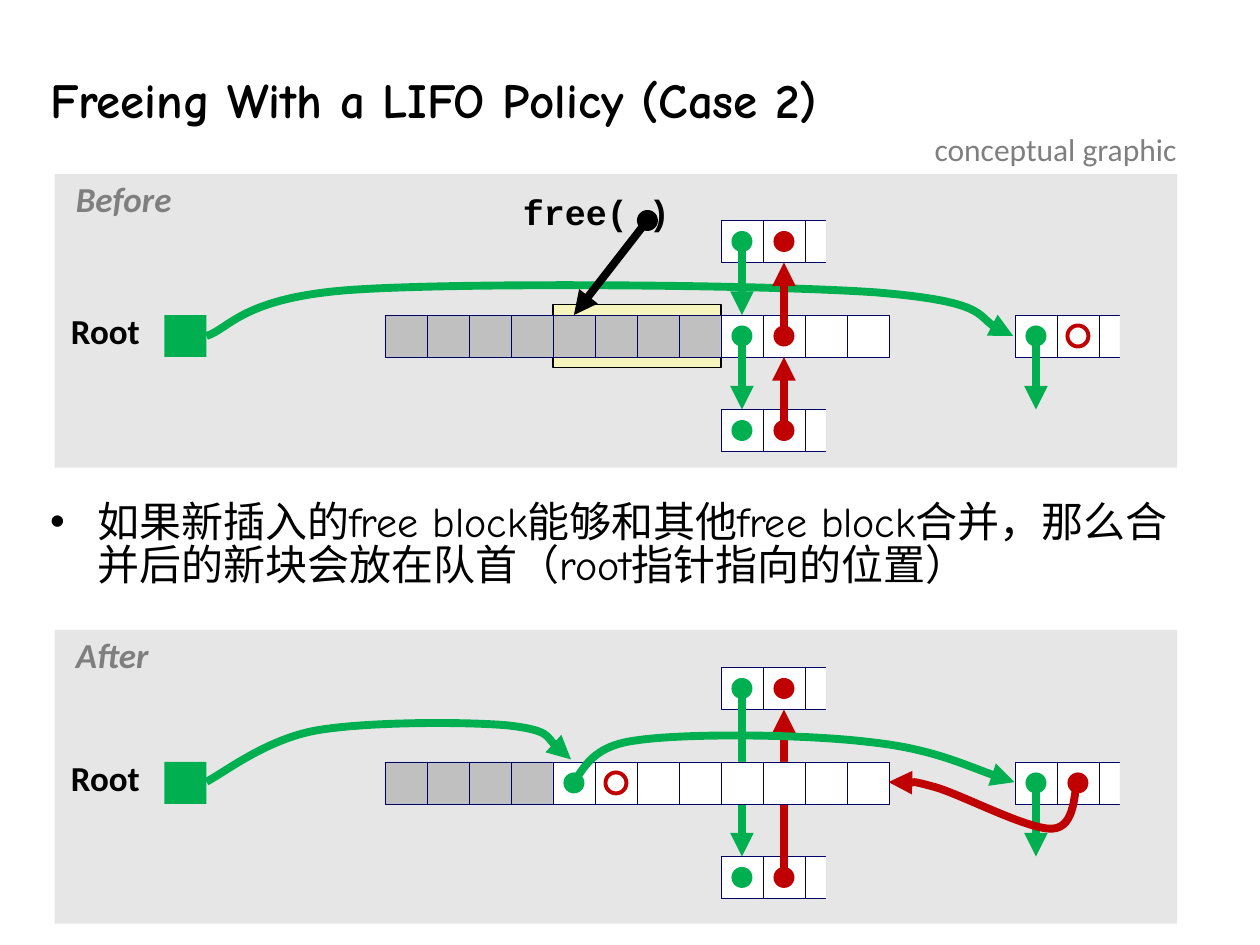
from lxml import etree
from pptx import Presentation
from pptx.dml.color import RGBColor
from pptx.enum.shapes import MSO_CONNECTOR, MSO_SHAPE
from pptx.enum.text import MSO_ANCHOR, MSO_AUTO_SIZE, PP_ALIGN
from pptx.oxml.ns import qn
from pptx.util import Cm, Pt

COLORS = {"panel": "E6E6E6", "used": "C0C0C0", "free": "FFFFFF", "freed": "F6F5BD",
          "border": "000066", "next": "00B050", "prev": "C00000", "ink": "000000",
          "muted": "7F7F7F"}
TITLE = "Freeing With a LIFO Policy (Case 2)"
NOTE = "conceptual graphic"
POINT = "如果新插入的free block能够和其他free block合并，那么合并后的新块会放在队首（root指针指向的位置）"

# Diagram places are (column, row) in cells, counted from the first cell of the heap row.
CELL = 2.54 / 3
HEAP_LEFT = 7.76
PANEL_LEFT, PANEL_WIDTH, PANEL_HEIGHT = 1.1, 22.63, 5.92
ROOT_COLUMN = -5.25
UPPER, LOWER = -2.25, 2.25
FRAGMENTS = [(8, UPPER), (8, LOWER), (15, 0)]
LIST_DOTS = [("next", 8, UPPER), ("prev", 9, UPPER), ("next", 8, LOWER),
             ("prev", 9, LOWER), ("next", 15, 0)]
ONWARD_LINK = ("next", (15, 0), (15, LOWER))

SCENES = [
    {"label": "Before", "label_width": 2.35, "panel_top": 3.51, "heap_top": 6.35,
     "heap": ["used"] * 8 + ["free"] * 4,
     "freed": (4, -0.25, 4, 1.5),
     "curves_behind": [("next", [
         (-4.25, 0.5), (-3.7, 0.33), (-3.4, -0.42), (-0.76, -0.6), (1.91, -0.78),
         (9.02, -0.72), (11.66, -0.54), (14.27, -0.33), (14.27, 0.3), (14.96, 0.5)])],
     "links_behind": [],
     "links": [("next", (8, 0), (8, LOWER)), ("next", (8, UPPER), (8, 0)),
               ("prev", (9, LOWER), (9, 0)), ("prev", (9, 0), (9, UPPER)), ONWARD_LINK],
     "dots": LIST_DOTS + [("next", 8, 0), ("prev", 9, 0)],
     "ring": (16, 0),
     "curves": []},
    {"label": "After", "label_width": 1.73, "panel_top": 12.7, "heap_top": 15.36,
     "heap": ["used"] * 4 + ["free"] * 8,
     "freed": None,
     "curves_behind": [],
     "links_behind": [("next", (8, UPPER), (8, LOWER)), ("prev", (9, LOWER), (9, UPPER))],
     "links": [ONWARD_LINK],
     "dots": LIST_DOTS + [("next", 4, 0), ("prev", 16, 0)],
     "ring": (5, 0),
     "curves": [
         ("next", [(4.46, 0.48), (4.7, 0.33), (4.79, -0.36), (5.96, -0.51), (7.13, -0.69),
                   (9.98, -0.66), (11.48, -0.48), (12.98, -0.33), (14.27, 0.27), (14.99, 0.48)]),
         ("prev", [(16.49, 0.48), (16.4, 0.66), (16.46, 1.56), (15.89, 1.59), (15.32, 1.62),
                   (13.73, 0.78), (13.1, 0.6), (12.44, 0.42), (12.23, 0.51), (11.99, 0.48)]),
         ("next", [(-4.25, 0.47), (-3.85, 0.27), (-2.83, -0.54), (-1.63, -0.75), (-0.43, -0.96),
                   (1.91, -0.96), (2.93, -0.87), (3.95, -0.75), (4.13, -0.24), (4.43, -0.06)])]},
]

prs = Presentation()
prs.slide_width, prs.slide_height = Cm(25.4), Cm(19.05)
slide = prs.slides.add_slide(prs.slide_layouts[6])
shapes = slide.shapes


def rgb(name):
    return RGBColor.from_string(COLORS[name])


def add_preset(kind, left, top, width, height, fill=None, border=None, weight=0.25):
    shape = shapes.add_shape(kind, Cm(left), Cm(top), Cm(width), Cm(height))
    shape.shadow.inherit = False
    if fill:
        shape.fill.solid()
        shape.fill.fore_color.rgb = rgb(fill)
    else:
        shape.fill.background()
    if border:
        shape.line.color.rgb = rgb(border)
        shape.line.width = Pt(weight)
    else:
        shape.line.fill.background()
    return shape


def add_text(text, left, top, width, height, size, font="Calibri", color="ink", bold=False,
             italic=False, inset=0.13, wrap=False, align=PP_ALIGN.CENTER, spacing=0.9):
    box = shapes.add_textbox(Cm(left), Cm(top), Cm(width), Cm(height))
    frame = box.text_frame
    frame.text = text
    frame.word_wrap = wrap
    frame.auto_size = MSO_AUTO_SIZE.NONE if wrap else MSO_AUTO_SIZE.SHAPE_TO_FIT_TEXT
    frame.margin_left = frame.margin_right = Cm(inset)
    frame.margin_top = frame.margin_bottom = Cm(0.13)
    paragraph = frame.paragraphs[0]
    paragraph.alignment = align
    paragraph.line_spacing = spacing
    run_font = paragraph.runs[0].font
    run_font.name, run_font.size = font, Pt(size)
    run_font.bold, run_font.italic = bold, italic
    run_font.color.rgb = rgb(color)
    return frame


def style_arrow(line, color):
    line.color.rgb = rgb(color)
    line.width = Pt(4.5)
    etree.SubElement(line._get_or_add_ln(), qn("a:tailEnd"), type="triangle")


def add_arrow(color, start, end, target=None, side=0):
    arrow = shapes.add_connector(MSO_CONNECTOR.STRAIGHT, *(Cm(v) for v in start + end))
    if target is not None:
        arrow.end_connect(target, side)
    style_arrow(arrow.line, color)
    etree.SubElement(arrow._element.spPr, qn("a:effectLst"))


def add_curve(color, points):
    """Draw a Bézier arrow: a start, then two controls and an end per segment."""
    points = [(Cm(x), Cm(y)) for x, y in points]
    builder = shapes.build_freeform(*points[0])
    builder.add_line_segments(points[1:], close=False)
    curve = builder.convert_to_shape()
    curve.shadow.inherit = False
    curve.fill.background()
    style_arrow(curve.line, color)
    steps = list(curve._element.iter(qn("a:lnTo")))
    for i in range(0, len(steps), 3):
        bezier = etree.Element(qn("a:cubicBezTo"))
        steps[i].addprevious(bezier)
        for step in steps[i:i + 3]:
            bezier.append(step[0])
            step.getparent().remove(step)


def draw_scene(scene):
    def place(column, row):
        return HEAP_LEFT + column * CELL, scene["heap_top"] + row * CELL

    def add_block(column, row, width, height, fill, border=None, weight=0.25):
        return add_preset(MSO_SHAPE.RECTANGLE, *place(column, row), width * CELL,
                          height * CELL, fill, border, weight)

    def add_dot(column, row, fill=None, border=None):
        add_preset(MSO_SHAPE.OVAL, *place(column + 0.25, row + 0.25), CELL / 2, CELL / 2,
                   fill, border, 2.25)

    def add_links(links):
        for color, (column, row), end in links:
            down = end[1] > row
            add_arrow(color, place(column + 0.5, row + 0.5),
                      place(end[0] + 0.5, end[1] + (0 if down else 1)),
                      cells.get(end), 0 if down else 2)

    def add_curves(curves):
        for color, points in curves:
            add_curve(color, [place(*point) for point in points])

    cells = {}
    add_preset(MSO_SHAPE.RECTANGLE, PANEL_LEFT, scene["panel_top"], PANEL_WIDTH,
               PANEL_HEIGHT, "panel")
    if scene["freed"]:
        add_block(*scene["freed"], "freed", "ink", 0.75)
    add_curves(scene["curves_behind"])
    for column, row in FRAGMENTS:
        for i in range(column, column + 3):
            cells[i, row] = add_block(i, row, 1, 1, "free", "border")
        add_block(column + 2.5, row - 0.25, 1, 1.5, "panel")
    add_links(scene["links_behind"])
    for i, state in enumerate(scene["heap"]):
        cells[i, 0] = add_block(i, 0, 1, 1, state, "border")
    add_block(ROOT_COLUMN, 0, 1, 1, "next")
    add_links(scene["links"])
    for color, column, row in scene["dots"]:
        add_dot(column, row, color)
    add_dot(*scene["ring"], border="prev")
    add_curves(scene["curves"])
    add_text("Root", 1.3, scene["heap_top"] - 0.15, 1.65, 1.02, 20, bold=True)
    add_text(scene["label"], 1.4, scene["panel_top"] + 0.04, scene["label_width"], 1.02, 20,
             color="muted", bold=True, italic=True, align=PP_ALIGN.LEFT)
    if scene["freed"]:
        add_text("free( )", 10.41, 3.81, 3.23, 1.02, 20, "Courier New", bold=True)
        add_dot(5.75, -2.75, "ink")
        add_arrow("ink", place(6.25, -2.25), place(4.5, 0), cells[4, 0])


title = add_text(TITLE, 0.76, 0.99, 24.21, 2.18, 28, "Comic Neue", bold=True, inset=0.25,
                 wrap=True, align=PP_ALIGN.LEFT, spacing=0.87)
title.vertical_anchor = MSO_ANCHOR.MIDDLE

point = add_text(POINT, 0.76, 10.01, 23.09, 2.18, 24, "Comic Neue", inset=0.25,
                 wrap=True, align=PP_ALIGN.LEFT, spacing=0.85)
properties = point.paragraphs[0]._p.get_or_add_pPr()
properties.set("marL", str(Cm(0.95)))
properties.set("indent", str(-Cm(0.95)))
etree.SubElement(properties, qn("a:buFont"), typeface="Arial")
etree.SubElement(properties, qn("a:buChar"), char="•")

for scene in SCENES:
    draw_scene(scene)
add_text(NOTE, 18.59, 2.49, 5.41, 1.02, 18, color="muted", inset=0.25,
         align=PP_ALIGN.LEFT, spacing=1.0)

prs.save("out.pptx")
